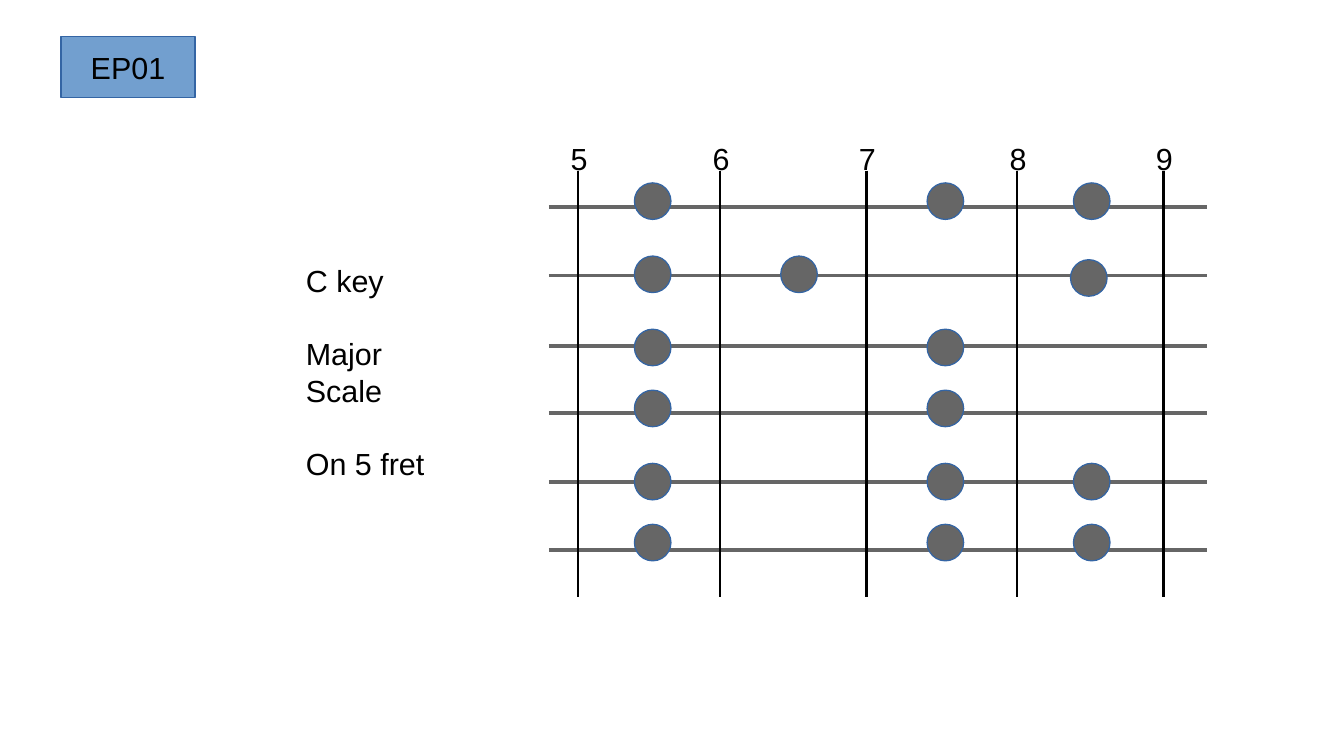
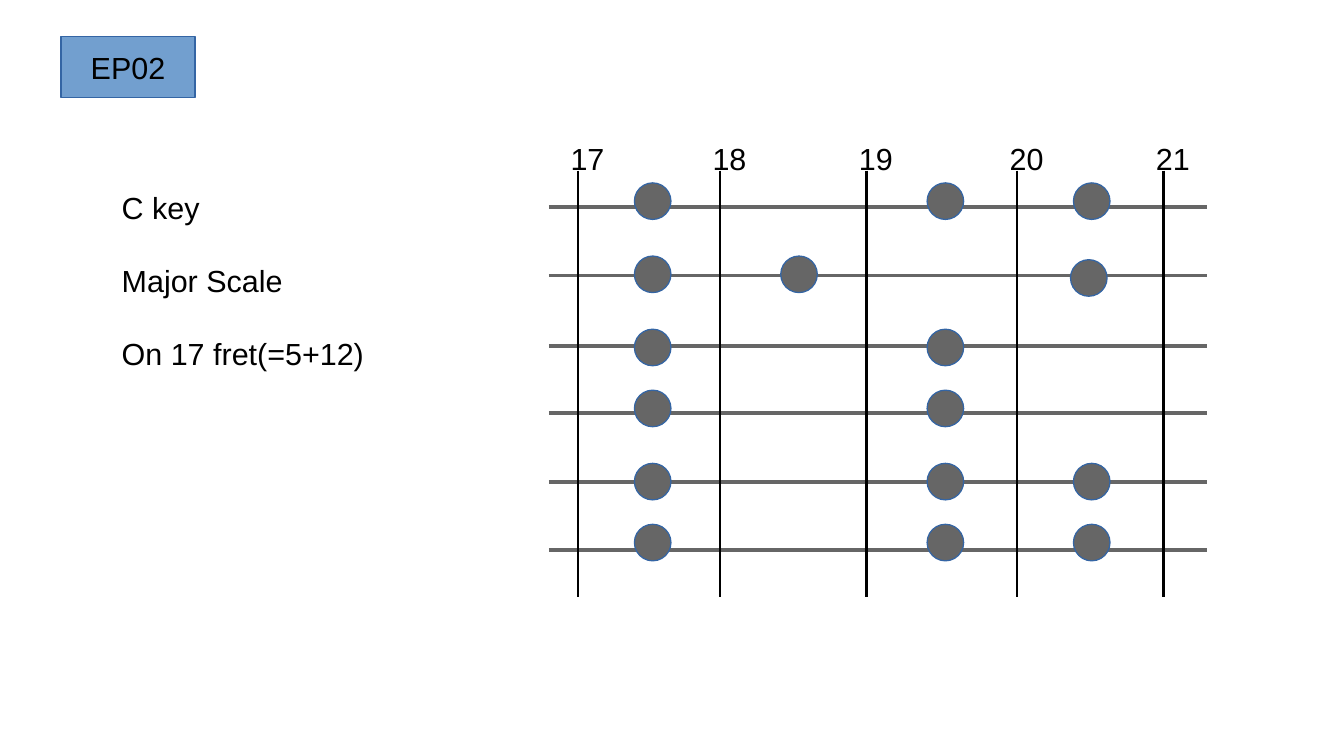
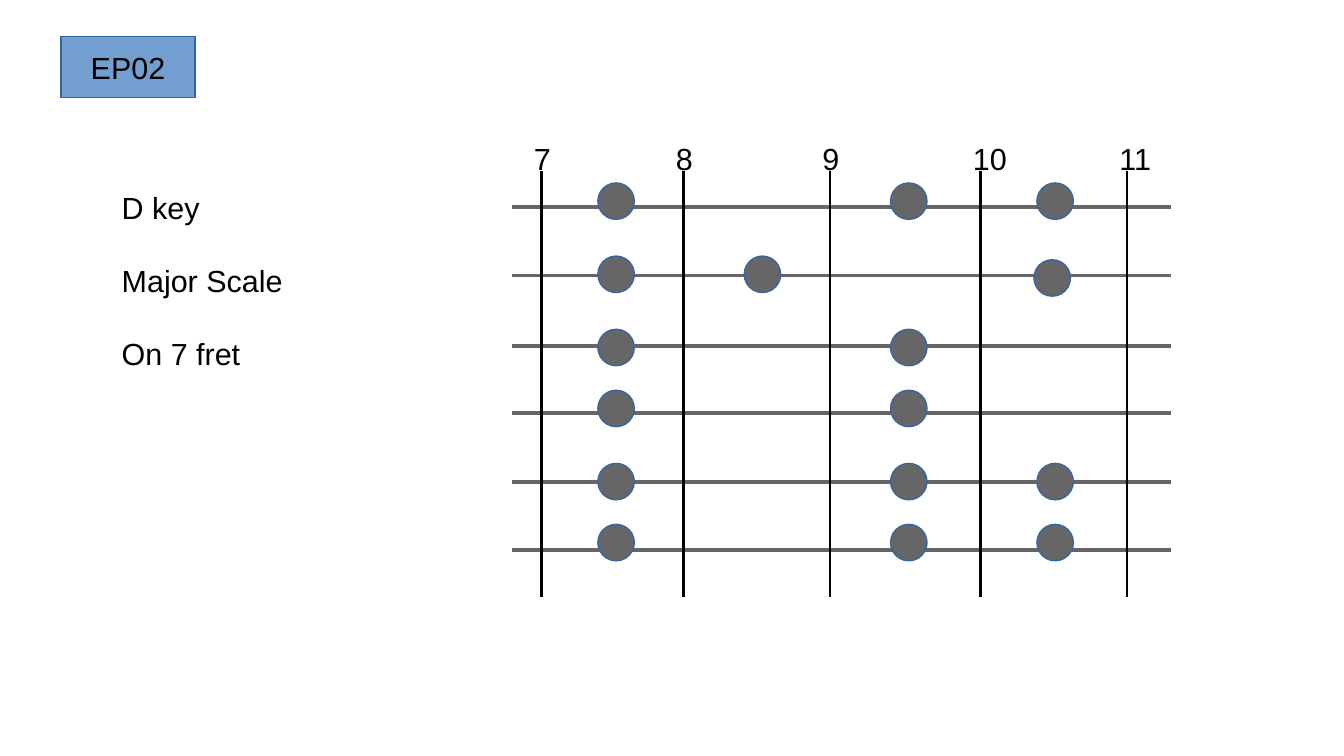
from collections import namedtuple

from lxml.etree import SubElement
from pptx import Presentation
from pptx.dml.color import RGBColor
from pptx.enum.shapes import MSO_CONNECTOR, MSO_SHAPE
from pptx.enum.text import MSO_ANCHOR, PP_ALIGN
from pptx.oxml.ns import qn
from pptx.util import Inches, Pt

Box = namedtuple("Box", "left top width height")

FONT, TEXT_SIZE, LINE_GAP = "Arial", 18, 21.5
BLACK, GREY, BLUE, BLUE_EDGE = "000000", "666666", "729FCF", "3465A4"

BADGE = Box(0.5, 0.3, 1.1, 0.5)
BOARD_COLUMNS, BOARD_ROWS = 4.5, 35
FRET_COLUMNS = (0.2, 1.17, 2.17, 3.2, 4.2)
STRING_ROWS = (3, 8.6, 14.4, 19.9, 25.5, 31.1)
FIRST_NOTE_COLUMN = 0.71
NOTE_SIZE = 0.3
SCALE_NOTES = (
    (2.5, (0, 2, 3)),
    (8.5, (0, 1)),
    (8.8, (2.98,)),
    (14.5, (0, 2)),
    (19.5, (0, 2)),
    (25.5, (0, 2, 3)),
    (30.5, (0, 2, 3)),
)

EPISODES = (
    ("EP01", ("C key", "Major Scale", "On 5 fret"), 5,
     Box(2.41, 2.1, 1.5, 1.5), Box(4.5, 1.4, 5.4, 3.5)),
    ("EP02", ("C key", "Major Scale", "On 17 fret(=5+12)"), 17,
     Box(0.9, 1.5, 2.2, 1.5), Box(4.5, 1.4, 5.4, 3.5)),
    ("EP02", ("D key", "Major Scale", "On 7 fret"), 7,
     Box(0.9, 1.5, 2.2, 1.5), Box(4.2, 1.4, 5.4, 3.5)),
)


def color(value):
    return RGBColor.from_string(value)


def emu(box):
    return [Inches(length) for length in box]


def write(paragraph, text):
    run = paragraph.add_run()
    run.text = text
    run.font.name = FONT
    run.font.size = Pt(TEXT_SIZE)
    run.font.color.rgb = color(BLACK)


def add_lines(slide, box, lines):
    frame = slide.shapes.add_textbox(*emu(box)).text_frame
    frame.word_wrap = True
    for index, line in enumerate(lines):
        paragraph = frame.add_paragraph() if index else frame.paragraphs[0]
        if index:
            paragraph.space_before = Pt(LINE_GAP)
        write(paragraph, line)


def add_filled(slide, preset, box, fill):
    shape = slide.shapes.add_shape(preset, *emu(box))
    shape.shadow.inherit = False
    shape.fill.solid()
    shape.fill.fore_color.rgb = color(fill)
    shape.line.color.rgb = color(BLUE_EDGE)
    shape.line.width = Pt(0.75)
    return shape


def add_rule(shapes, start, end, stroke, weight):
    rule = shapes.add_connector(MSO_CONNECTOR.STRAIGHT, *emu(start + end))
    rule.line.color.rgb = color(stroke)
    rule.line.width = Pt(weight)
    SubElement(rule._element.spPr, qn("a:effectLst"))


def add_badge(slide, box, episode):
    frame = add_filled(slide, MSO_SHAPE.RECTANGLE, box, BLUE).text_frame
    frame.word_wrap = False
    frame.vertical_anchor = MSO_ANCHOR.MIDDLE
    frame.paragraphs[0].alignment = PP_ALIGN.CENTER
    write(frame.paragraphs[0], episode)


def add_fretboard(slide, box, first_fret):
    column, row = box.width / BOARD_COLUMNS, box.height / BOARD_ROWS
    right, bottom = box.left + box.width, box.top + box.height

    strings = slide.shapes.add_group_shape().shapes
    for string_row in STRING_ROWS:
        y = box.top + string_row * row
        add_rule(strings, (box.left, y), (right, y), GREY, 2.3)

    for fret, fret_column in enumerate(FRET_COLUMNS, first_fret):
        x = box.left + fret_column * column
        add_rule(slide.shapes, (x, box.top), (x, bottom), BLACK, 1.5)
        width, height = (0.4, 0.38) if fret < 10 else (0.56, 0.66)
        add_lines(slide, Box(x - 0.16, box.top - 3 * row, width, height), [str(fret)])

    for note_row, steps in SCALE_NOTES:
        for step in steps:
            x = box.left + (FIRST_NOTE_COLUMN + step) * column
            y = box.top + note_row * row
            note = Box(x - NOTE_SIZE / 2, y - NOTE_SIZE / 2, NOTE_SIZE, NOTE_SIZE)
            add_filled(slide, MSO_SHAPE.OVAL, note, GREY)


def add_scale_slide(deck, episode, lesson, first_fret, lesson_box, board_box):
    slide = deck.slides.add_slide(deck.slide_layouts[6])
    add_fretboard(slide, board_box, first_fret)
    add_lines(slide, lesson_box, lesson)
    add_badge(slide, BADGE, episode)


deck = Presentation()
deck.slide_width, deck.slide_height = Inches(11.02), Inches(6.2)
for episode_parts in EPISODES:
    add_scale_slide(deck, *episode_parts)
deck.save("out.pptx")
